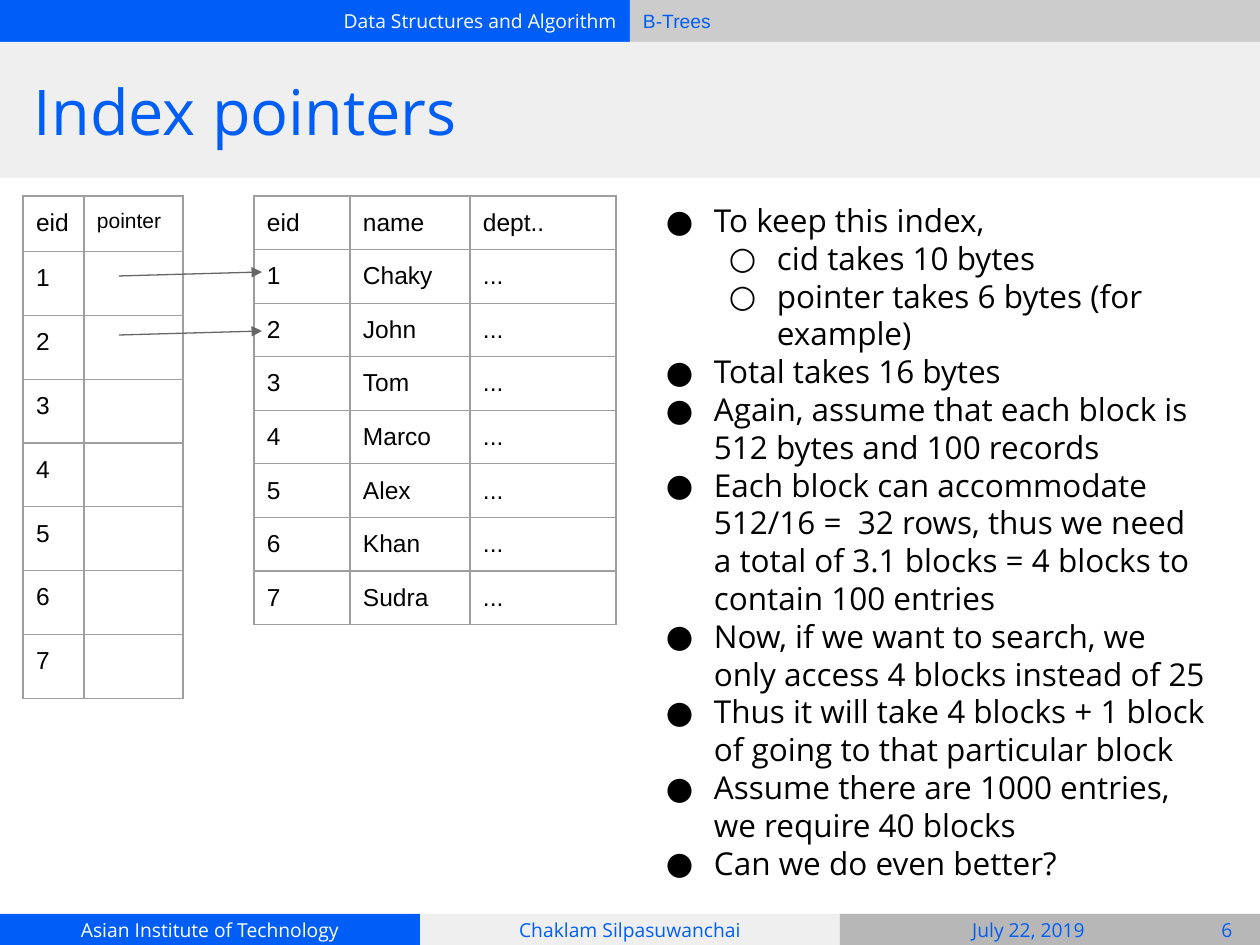
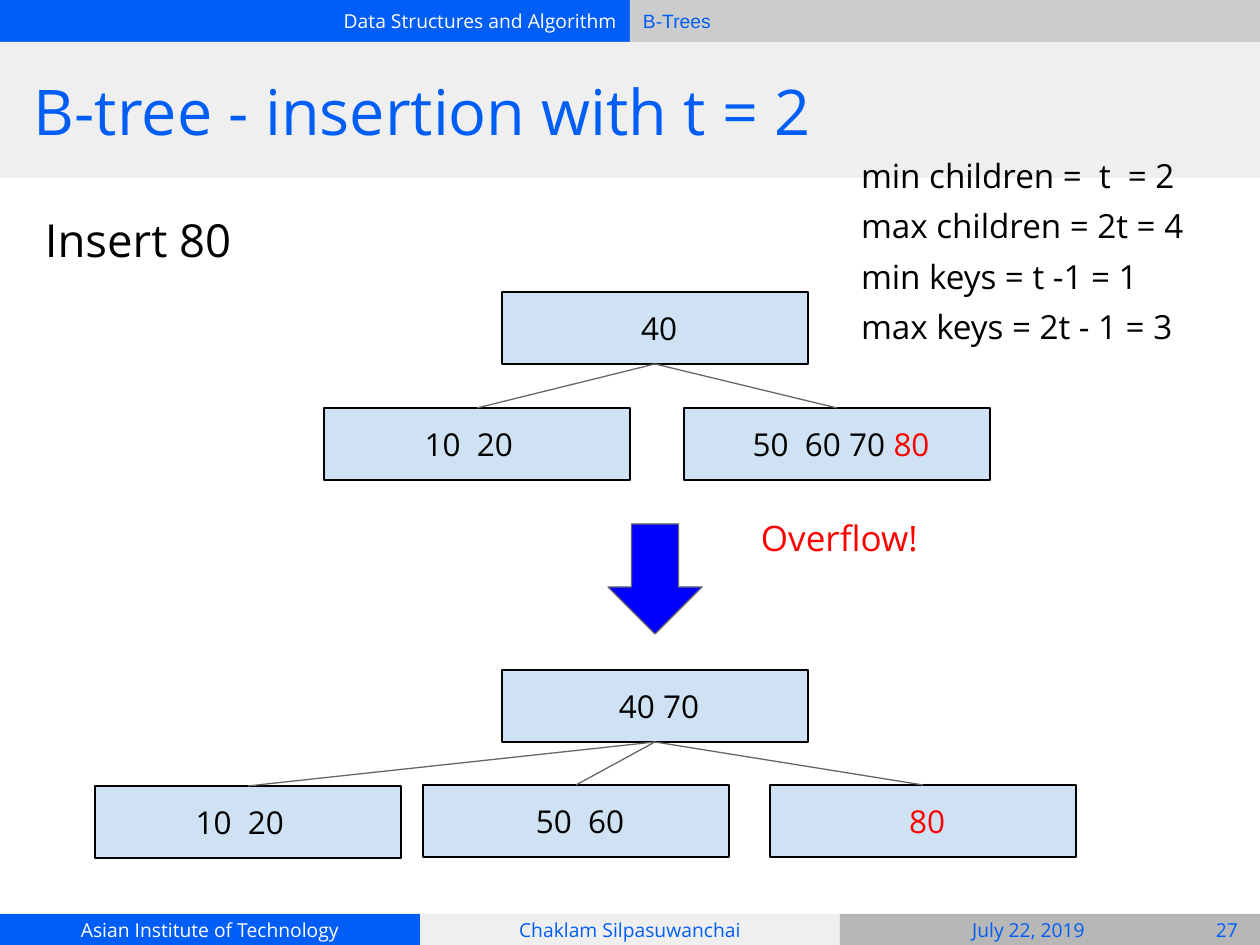
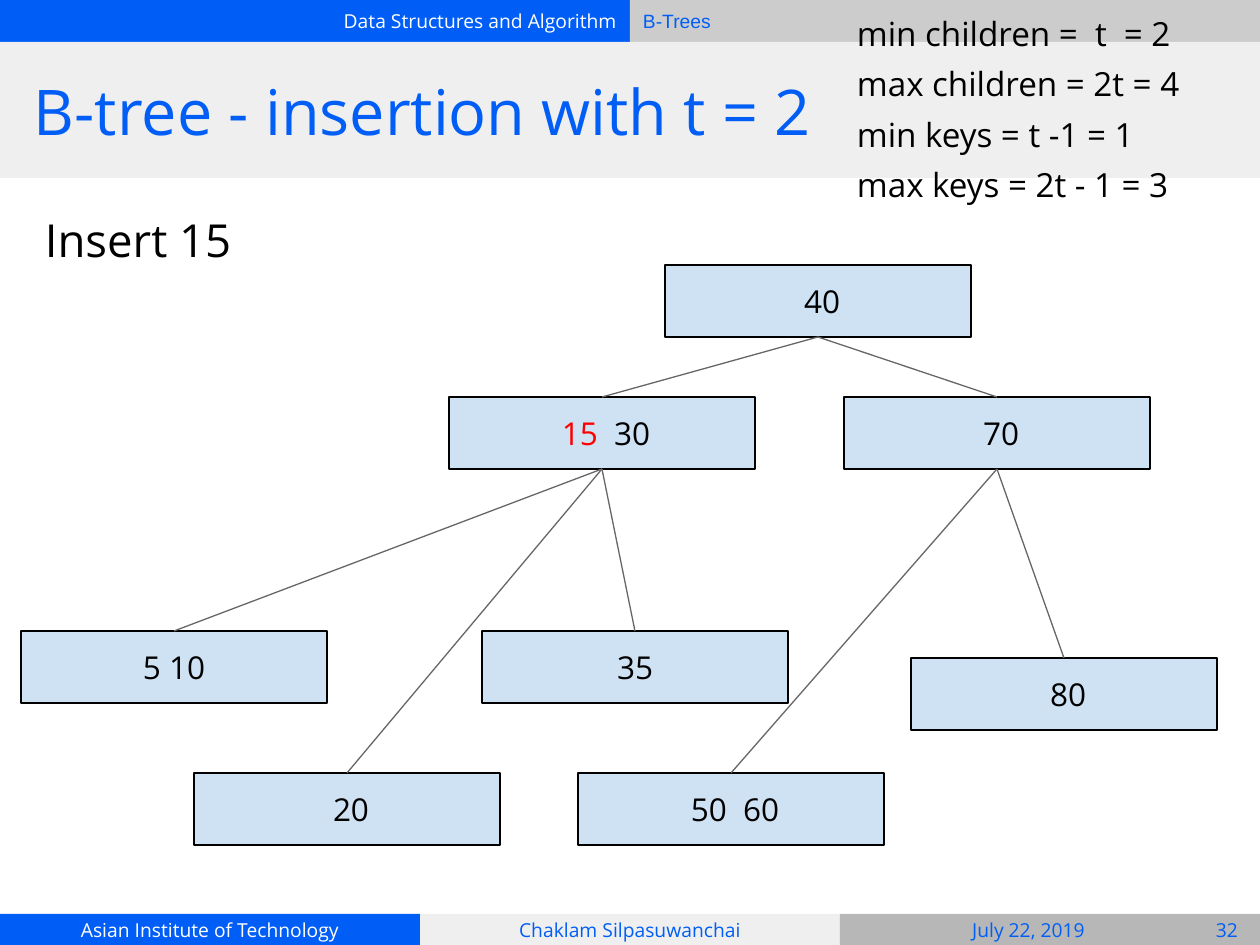
from lxml.etree import SubElement, fromstring
from pptx import Presentation
from pptx.dml.color import RGBColor
from pptx.enum.shapes import MSO_CONNECTOR, MSO_SHAPE
from pptx.enum.text import MSO_ANCHOR, PP_ALIGN
from pptx.oxml.ns import nsdecls, qn
from pptx.util import Pt

SCALE = 914400 / 126  # EMU in one px
WIDTH, HEIGHT = 1260, 945
INSET = 13
NODE_SIZE = (306, 72)
FONT = "Open Sans"
COLOURS = {
    "blue": "005EF6", "white": "FFFFFF", "black": "000000", "red": "FF0000",
    "light": "EFEFEF", "silver": "CCCCCC", "grey": "B7B7B7", "border": "9E9E9E",
    "line": "666666", "node": "CFE2F3", "arrow": "0000FF",
}
ALIGN = {"left": PP_ALIGN.LEFT, "center": PP_ALIGN.CENTER, "right": PP_ALIGN.RIGHT}


def px(length):
    return round(length * SCALE)


MARGINS = {f"margin_{side}": px(INSET) for side in ("left", "right", "top", "bottom")}


def rgb(name):
    return RGBColor.from_string(COLOURS[name])


def assign(target, values):
    for name, value in values.items():
        setattr(target, name, value)


class SlideBuilder:
    """Holds the deck, its style and the current slide."""

    def __init__(self):
        self.deck = Presentation()
        assign(self.deck, {"slide_width": px(WIDTH), "slide_height": px(HEIGHT)})
        self.page = None

    # Text
    def set_text(self, frame, paras, size, colour="black", font=FONT, align="left",
                 anchor=MSO_ANCHOR.TOP, before=0):
        """Each paragraph is a string or a list of (text, colour) runs."""
        assign(frame, {"word_wrap": True, "vertical_anchor": anchor, **MARGINS})
        for index, runs in enumerate(paras):
            para = frame.paragraphs[0] if index == 0 else frame.add_paragraph()
            assign(para, {"alignment": ALIGN[align], "space_before": Pt(before)})
            for text, shade in [(runs, colour)] if isinstance(runs, str) else runs:
                span = para.add_run()
                span.text = text
                assign(span.font, {"name": font, "size": Pt(size), "bold": False})
                span.font.color.rgb = rgb(shade)

    def text(self, place, paras, size, **style):
        box = self.page.shapes.add_textbox(*map(px, place))
        self.set_text(box.text_frame, paras, size, **style)
        return box

    def indent(self, para, left, first):
        properties = para._p.get_or_add_pPr()
        properties.set("marL", str(px(left)))
        properties.set("indent", str(px(first)))
        return properties

    def bullets(self, place, items, size):
        box = self.text(place, [text for _, text in items], size)
        for para, (level, _) in zip(box.text_frame.paragraphs, items):
            para.level = level
            properties = self.indent(para, 63 * (level + 1), -48)
            colour = SubElement(properties, qn("a:buClr"))
            SubElement(colour, qn("a:srgbClr"), val=COLOURS["black"])
            SubElement(properties, qn("a:buFont"), typeface=FONT)
            SubElement(properties, qn("a:buChar"), char="●○"[level])

    # Shapes
    def shape(self, place, fill, line=None, kind=MSO_SHAPE.RECTANGLE):
        shape = self.page.shapes.add_shape(kind, *map(px, place))
        shape.shadow.inherit = False
        shape.fill.solid()
        shape.fill.fore_color.rgb = rgb(fill)
        if line:
            shape.line.color.rgb = rgb(line)
            shape.line.width = Pt(0.75)
        else:
            shape.line.fill.background()
        return shape

    def band(self, place, fill, text="", **style):
        band = self.shape(place, fill)
        if text:
            self.set_text(band.text_frame, [text], 11, anchor=MSO_ANCHOR.MIDDLE, **style)

    def node(self, left, top, runs, align="center"):
        node = self.shape((left, top, *NODE_SIZE), "node", "black")
        self.set_text(node.text_frame, [runs], 18, align=align, anchor=MSO_ANCHOR.MIDDLE)
        return node

    # Lines
    def connector(self, start=(0, 0), end=(0, 0)):
        line = self.page.shapes.add_connector(MSO_CONNECTOR.STRAIGHT, *map(px, start + end))
        line.line.color.rgb = rgb("line")
        line.line.width = Pt(0.75)
        SubElement(line._element.spPr, qn("a:effectLst"))
        return line

    def links(self, parent, *children):
        for child in children:
            line = self.connector()
            line.begin_connect(parent, 2)
            line.end_connect(child, 0)

    def arrow(self, start, end):
        line = self.connector(start, end)
        SubElement(line._element.spPr.find(qn("a:ln")), qn("a:tailEnd"), type="triangle")

    # Tables
    def table(self, left, top, widths, heights, rows, sizes):
        place = (left, top, sum(widths), sum(heights))
        table = self.page.shapes.add_table(len(rows), len(widths), *map(px, place)).table
        assign(table, {"first_row": False, "horz_banding": False})
        for column, width in zip(table.columns, widths):
            column.width = px(width)
        for row, height, values in zip(table.rows, heights, rows):
            row.height = px(height)
            for cell, value in zip(row.cells, values):
                self.cell(cell, value, sizes.get(value, 14))

    def cell(self, cell, value, size):
        cell.fill.background()
        if value:
            self.set_text(cell.text_frame, [value], size, font="Arial")
        assign(cell, MARGINS)
        for index, side in enumerate("LRTB"):
            border = fromstring(
                f'<a:ln{side} {nsdecls("a")} w="{Pt(0.75)}"><a:solidFill>'
                f'<a:srgbClr val="{COLOURS["border"]}"/></a:solidFill></a:ln{side}>')
            cell._tc.get_or_add_tcPr().insert(index, border)

    # Shared frame: header bands, title and footer
    def start(self, title, number):
        self.page = self.deck.slides.add_slide(self.deck.slide_layouts[5])
        self.band((0, 0, 630, 42), "blue", "Data Structures and Algorithm",
                  colour="white", align="right")
        self.band((630, 0, 630, 42), "silver", "B-Trees", colour="blue", font="Arial")
        self.band((0, 42, WIDTH, 136), "light")
        third = WIDTH // 3
        footer = [("blue", "Asian Institute of Technology", "white"),
                  ("light", "Chaklam Silpasuwanchai", "blue"), ("grey", "", "blue")]
        for index, (fill, text, colour) in enumerate(footer):
            self.band((index * third, 914, third, 31), fill, text,
                      colour=colour, align="center")
        for place, text in [((850, 914, 357, 31), "July 22, 2019"),
                            ((1194, 915, 66, 30), str(number))]:
            self.text(place, [text], 11, colour="blue", align="center",
                      anchor=MSO_ANCHOR.MIDDLE)
        heading = self.page.shapes.title
        assign(heading, dict(zip(("left", "top", "width", "height"),
                                 map(px, (21, 42, 1218, 136)))))
        self.set_text(heading.text_frame, [title], 36, colour="blue",
                      anchor=MSO_ANCHOR.MIDDLE)
        self.page.shapes._spTree.append(heading._element)  # in front of its band

    def start_insertion(self, key, number, rules_left, rules_top):
        self.start("B-tree - insertion with t = 2", number)
        self.text((32, 199, 1207, 640), [f"Insert {key}"], 26, before=6)
        rules = ["min children =  t  = 2", "max children = 2t = 4",
                 "min keys = t -1 = 1", "max keys = 2t - 1 = 3"]
        self.text((rules_left, rules_top, 423, 232), rules, 19, before=6)


def index_pointers(builder):
    builder.start("Index pointers", 6)
    names = ["Chaky", "John", "Tom", "Marco", "Alex", "Khan", "Sudra"]
    records = [(str(eid), name, "...") for eid, name in enumerate(names, 1)]
    entries = [(eid, "") for eid, _, _ in records]
    builder.table(254, 196, (96, 120, 146), [52.6] * 8,
                  [("eid", "name", "dept..")] + records, {})
    builder.bullets((638, 188, 582, 664), [
        (0, "To keep this index,"),
        (1, "cid takes 10 bytes"),
        (1, "pointer takes 6 bytes (for example)"),
        (0, "Total takes 16 bytes"),
        (0, "Again, assume that each block is 512 bytes and 100 records"),
        (0, "Each block can accommodate 512/16 =  32 rows, thus we need a total of "
            "3.1 blocks = 4 blocks to contain 100 entries"),
        (0, "Now, if we want to search, we only access 4 blocks instead of 25"),
        (0, "Thus it will take 4 blocks + 1 block of going to that particular block"),
        (0, "Assume there are 1000 entries, we require 40 blocks"),
        (0, "Can we do even better?"),
    ], 18)
    builder.table(23, 196, (61, 99), [52.6] + [60.4] * 7,
                  [("eid", "pointer")] + entries, {"pointer": 12})
    for top in (276, 335):
        builder.arrow((119, top), (262, top - 4))


def insert_80(builder):
    builder.start_insertion(80, 27, 848, 142)
    # Before the split
    root = builder.node(502, 292, " 40")
    left = builder.node(324, 408, "10  20  ")
    full = builder.node(684, 408, [(" 50  60 70 ", "black"), ("80", "red")])
    builder.links(root, left, full)
    builder.text((748, 503, 278, 72), ["Overflow!"], 20, colour="red")
    builder.shape((608, 524, 94, 110), "arrow", "line", MSO_SHAPE.DOWN_ARROW)
    # After the split
    root = builder.node(502, 670, " 40 70")
    leaves = [builder.node(95, 786, "10  20  "), builder.node(423, 785, " 50  60"),
              builder.node(770, 785, [(" 80", "red")])]
    builder.links(root, *leaves)


def insert_15(builder):
    builder.start_insertion(15, 32, 844, 0)
    root = builder.node(665, 265, " 40")
    left = builder.node(449, 397, [(" ", "black"), ("15", "red"), ("  30", "black")])
    right = builder.node(844, 397, " 70")
    leaf_20 = builder.node(194, 773, "20", align="left")
    builder.indent(leaf_20.text_frame.paragraphs[0], 63, 63)
    builder.links(root, left, right)
    builder.links(left, builder.node(21, 631, "5 10"), leaf_20, builder.node(482, 631, "35"))
    builder.links(right, builder.node(578, 773, " 50  60"), builder.node(911, 658, " 80"))


def main():
    builder = SlideBuilder()
    for build in (index_pointers, insert_80, insert_15):
        build(builder)
    builder.deck.save("out.pptx")


if __name__ == "__main__":
    main()
